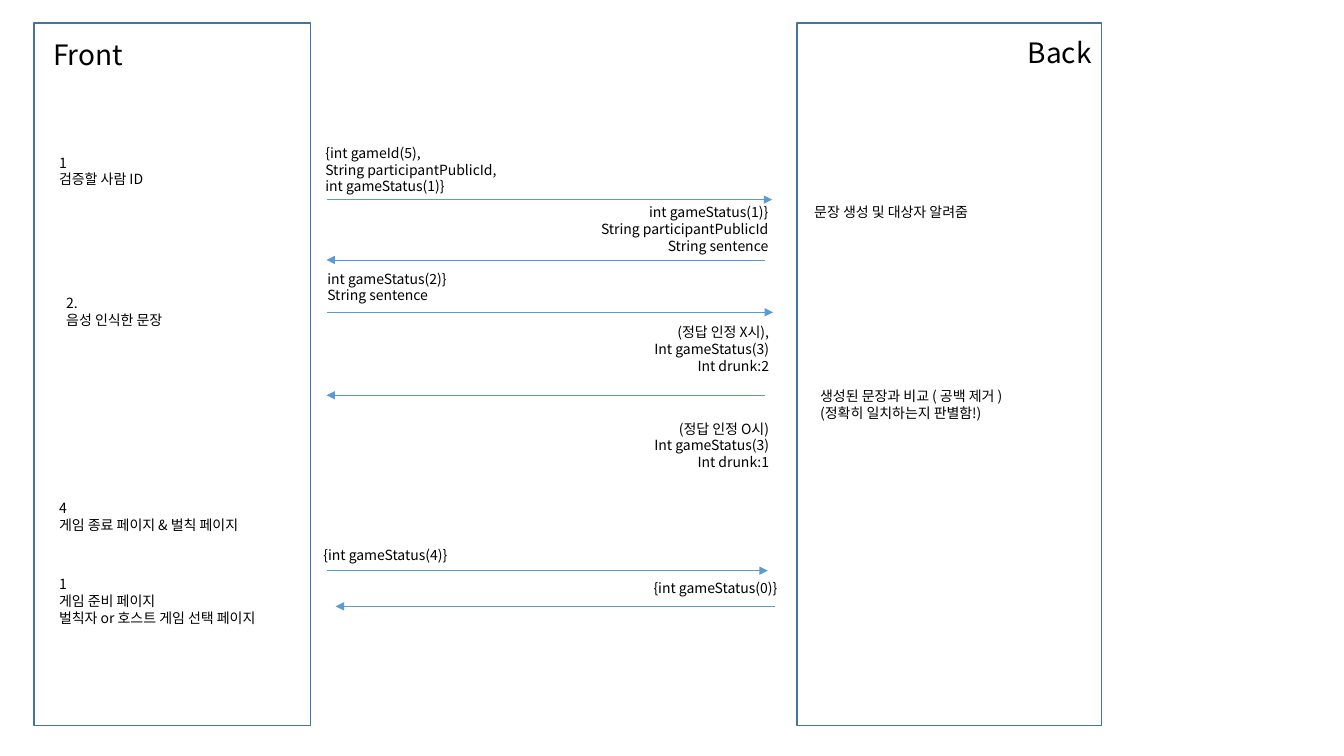
from dataclasses import dataclass

from lxml import etree
from pptx import Presentation
from pptx.dml.color import RGBColor
from pptx.enum.shapes import MSO_CONNECTOR, MSO_SHAPE
from pptx.enum.text import PP_ALIGN
from pptx.oxml.ns import qn
from pptx.util import Cm, Pt

LEFT, RIGHT = PP_ALIGN.LEFT, PP_ALIGN.RIGHT
STRAIGHT, RECTANGLE = MSO_CONNECTOR.STRAIGHT, MSO_SHAPE.RECTANGLE
BLANK_LAYOUT = 6


@dataclass(frozen=True)
class Theme:
    font: str = "Noto Sans CJK KR"
    text: RGBColor = RGBColor(0x00, 0x00, 0x00)
    lane_line: RGBColor = RGBColor(0x43, 0x73, 0x9E)
    arrow: RGBColor = RGBColor(0x5B, 0x9B, 0xD5)
    heading_size: int = 20
    body_size: int = 10
    lane_width: float = 1
    arrow_width: float = 0.5


@dataclass(frozen=True)
class Box:
    left: float
    top: float
    width: float
    height: float


THEME = Theme()
LINE_HEIGHT = 0.43
PADDING = 0.25

# Lanes and the gap between them, in centimetres
FRONT = Box(0.86, 0.58, 6.96, 17.7)
BACK = Box(20.09, 0.58, 7.67, 17.7)
EXCHANGE = Box(FRONT.left + FRONT.width, FRONT.top,
               BACK.left - FRONT.left - FRONT.width, FRONT.height)

# Steps: left and top within the lane, lines
FRONT_STEPS = [
    (0.38, 3.18, ["1", "검증할 사람 ID"]),
    (0.56, 6.71, ["2.", "음성 인식한 문장"]),
    (0.38, 11.89, ["4", "게임 종료 페이지 & 벌칙 페이지"]),
    (0.38, 13.8, ["1", "게임 준비 페이지", "벌칙자 or 호스트 게임 선택 페이지"]),
]
BACK_STEPS = [
    (0.18, 4.42, ["문장 생성 및 대상자 알려줌"]),
    (0.33, 9.07, ["생성된 문장과 비교 ( 공백 제거 )", "(정확히 일치하는지 판별함!)"]),
]

# Requests: left edge and top within the gap, lines
REQUESTS = [
    (0.13, 2.93, ["{int gameId(5),", "String participantPublicId,", "int gameStatus(1)}"]),
    (0.18, 6.1, ["int gameStatus(2)}", "String sentence"]),
    (0.08, 13.06, ["{int gameStatus(4)}"]),
]
# Responses: right edge and top within the gap, lines
RESPONSES = [
    (11.79, 4.42, ["int gameStatus(1)}", "String participantPublicId", "String sentence"]),
    (11.81, 7.45, ["(정답 인정 X시),", "Int gameStatus(3)", "Int drunk:2"]),
    (11.81, 9.88, ["(정답 인정 O시)", "Int gameStatus(3)", "Int drunk:1"]),
    (12.02, 13.9, ["{int gameStatus(0)}"]),
]
# Arrows: start, end and height within the gap
ARROWS = [
    (0.41, 11.64, 4.45),
    (11.46, 0.41, 5.97),
    (0.41, 11.66, 7.29),
    (11.46, 0.41, 9.38),
    (0.41, 11.53, 13.8),
    (11.71, 0.64, 14.7),
]


def add_text(slide, box, lines, size, align=LEFT):
    frame = slide.shapes.add_textbox(
        Cm(box.left), Cm(box.top), Cm(box.width), Cm(box.height)).text_frame
    frame.word_wrap = True
    frame.text = "\n".join(lines)
    for paragraph in frame.paragraphs:
        paragraph.alignment = align
        font = paragraph.font
        font.name, font.size = THEME.font, Pt(size)
        font.color.rgb = THEME.text
        # Korean letters take the East Asian typeface
        latin = paragraph._p.pPr.find(qn("a:defRPr")).find(qn("a:latin"))
        east_asian = etree.Element(qn("a:ea"), typeface=THEME.font)
        latin.addnext(east_asian)


def add_body(slide, left, top, width, lines, align=LEFT):
    box = Box(left, top, width, LINE_HEIGHT * len(lines) + PADDING)
    add_text(slide, box, lines, THEME.body_size, align)


def add_arrow(slide, start, end, height):
    arrow = slide.shapes.add_connector(
        STRAIGHT, Cm(start), Cm(height), Cm(end), Cm(height))
    arrow.line.color.rgb = THEME.arrow
    arrow.line.width = Pt(THEME.arrow_width)
    etree.SubElement(arrow.line._get_or_add_ln(), qn("a:tailEnd"), type="triangle")
    etree.SubElement(arrow._element.spPr, qn("a:effectLst"))


def add_lane(slide, box, heading, heading_box, steps, step_width):
    # Outline
    lane = slide.shapes.add_shape(
        RECTANGLE, Cm(box.left), Cm(box.top), Cm(box.width), Cm(box.height))
    lane.shadow.inherit = False
    lane.fill.background()
    lane.line.color.rgb = THEME.lane_line
    lane.line.width = Pt(THEME.lane_width)
    # Heading
    placed = Box(box.left + heading_box.left, box.top + heading_box.top,
                 heading_box.width, heading_box.height)
    add_text(slide, placed, [heading], THEME.heading_size)
    # Steps
    for left, top, lines in steps:
        add_body(slide, box.left + left, box.top + top, step_width, lines)


def add_exchange(slide, box):
    label_width = 8.28
    for left, top, lines in REQUESTS:
        add_body(slide, box.left + left, box.top + top, label_width, lines)
    for right, top, lines in RESPONSES:
        add_body(slide, box.left + right - label_width, box.top + top,
                 label_width, lines, RIGHT)
    for start, end, height in ARROWS:
        add_arrow(slide, box.left + start, box.left + end, box.top + height)


presentation = Presentation()
presentation.slide_width, presentation.slide_height = Cm(33.87), Cm(19.05)
flow = presentation.slides.add_slide(presentation.slide_layouts[BLANK_LAYOUT])
add_lane(flow, FRONT, "Front", Box(0.23, 0.25, 5.36, 1.11), FRONT_STEPS, 10.59)
add_lane(flow, BACK, "Back", Box(5.56, 0.18, 3.25, 1.11), BACK_STEPS, 6.35)
add_exchange(flow, EXCHANGE)
presentation.save("out.pptx")
